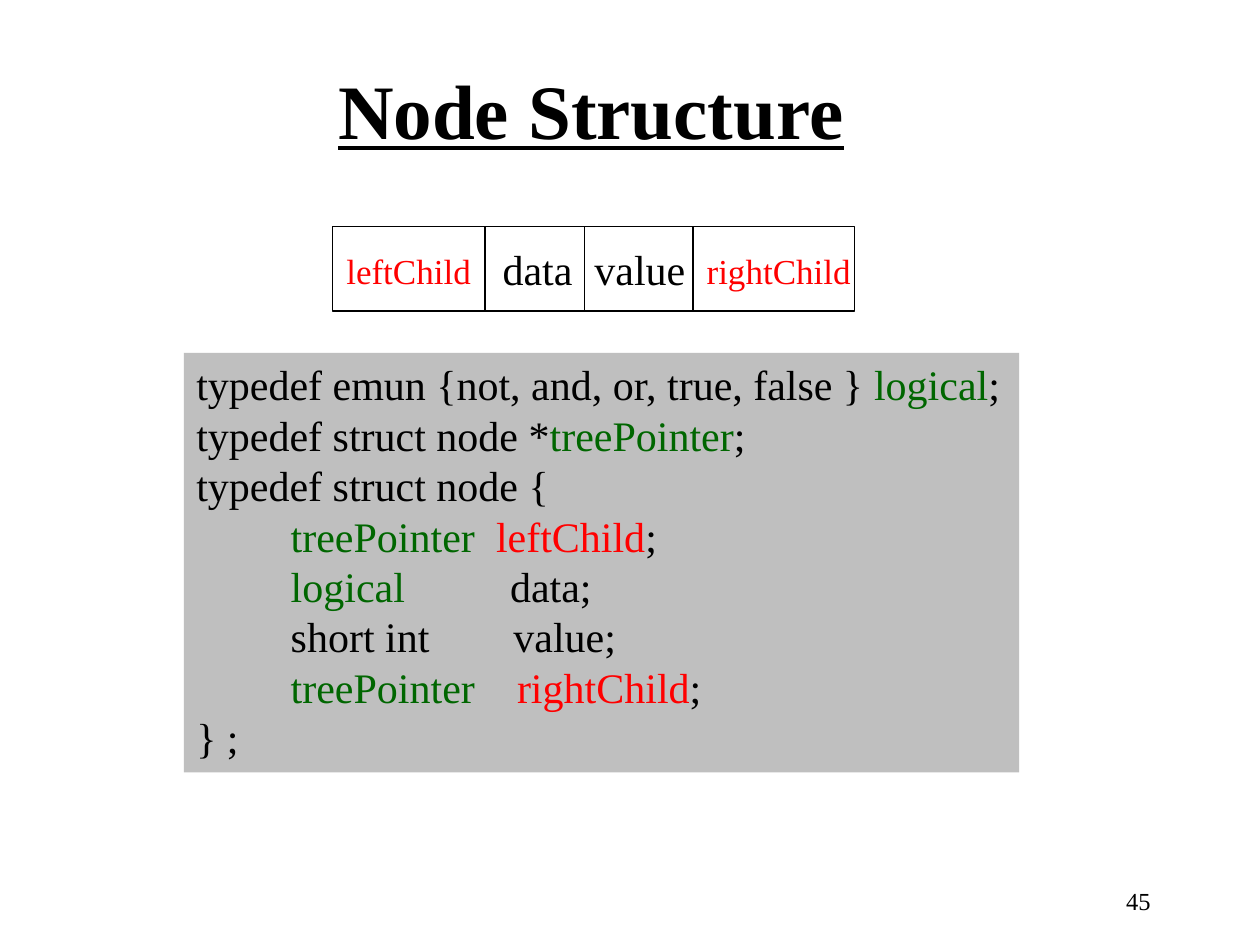
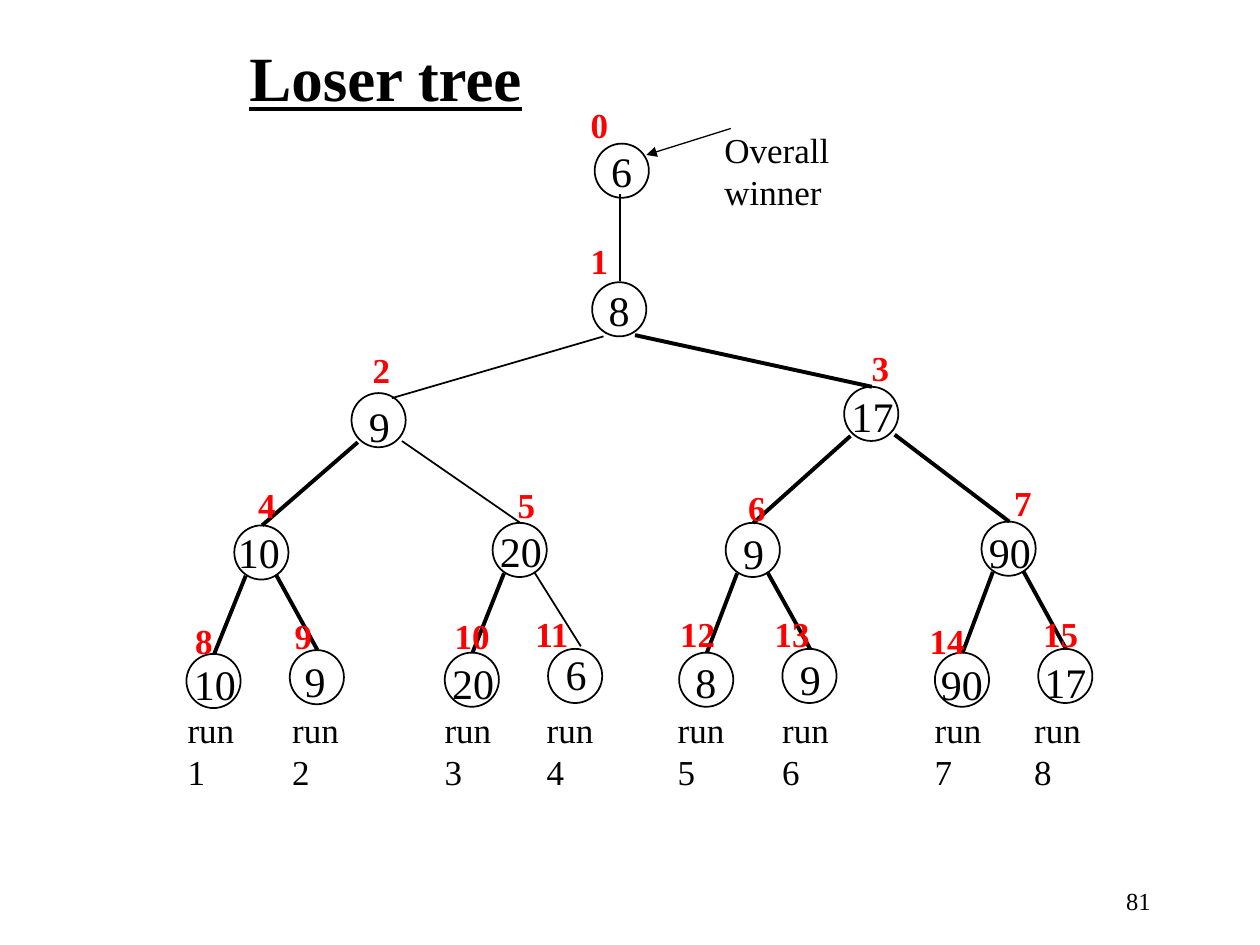
from dataclasses import dataclass

from lxml.etree import SubElement
from pptx import Presentation
from pptx.dml.color import RGBColor
from pptx.enum.shapes import MSO_CONNECTOR, MSO_SHAPE
from pptx.enum.text import MSO_ANCHOR, PP_ALIGN
from pptx.oxml.ns import qn
from pptx.util import Inches, Pt


@dataclass(frozen=True)
class Theme:
    font: str = "Times New Roman"
    ink: str = "000000"
    red: str = "FF0000"
    green: str = "006600"
    panel: str = "BFBFBF"
    body: int = 24
    small: int = 20
    footer: int = 14
    leading: float = 1.2
    hairline: float = 0.75
    thin: float = 1
    thick: float = 2.25


THEME = Theme()
INK, RED, GREEN = THEME.ink, THEME.red, THEME.green

# Node structure: (field, left of cell, left of label, width of label, size, colour)
RECORD = (2.64, 1.8, 4.14, 0.67)
FIELD_TOP, FIELD_HEIGHT = 1.88, 0.5
TEXT_INSET = 0.1
FIELDS = [
    ("leftChild", 2.64, 2.75, 1.05, THEME.small, RED),
    ("data", 3.85, 3.99, 0.6, THEME.body, INK),
    ("value", 4.64, 4.72, 0.8, THEME.body, INK),
    ("rightChild", 5.5, 5.61, 1.2, THEME.small, RED),
]
CODE_BOX = (1.46, 2.8, 6.63, 3.33)
CODE = [
    [("typedef emun {not, and, or, true, false } ", INK), ("logical", GREEN), (";", INK)],
    [("typedef struct node *", INK), ("treePointer", GREEN), (";", INK)],
    [("typedef struct node {", INK)],
    [("         treePointer  ", GREEN), ("leftChild", RED), (";", INK)],
    [("         logical          ", GREEN), ("data;", INK)],
    [("         short int        value;", INK)],
    [("         treePointer    ", GREEN), ("rightChild", RED), (";", INK)],
    [("} ;", INK)],
]

# Loser tree, in heap order: (value, circle, value box, index box);
# a value without a box of its own is centred in its circle
NODES = [
    ("6", (4.72, 1.14), None, (4.59, 0.77)),
    ("8", (4.7, 2.24), None, (4.59, 1.85)),
    ("9", (2.79, 3.12), (2.83, 3.13), (2.86, 2.72)),
    ("17", (6.7, 3.07), (6.66, 3.05), (6.82, 2.7)),
    ("10", (1.86, 4.17), (1.79, 4.13), (1.95, 3.79)),
    ("20", (3.91, 4.15), (3.87, 4.12), (4.01, 3.79)),
    ("9", (5.76, 4.15), (5.8, 4.14), (5.84, 3.81)),
    ("90", (7.79, 4.14), (7.75, 4.13), (7.95, 3.77)),
    ("10", (1.48, 5.19), (1.44, 5.18), (1.45, 4.87)),
    ("9", (2.3, 5.16), (2.32, 5.15), (2.24, 4.83)),
    ("20", (3.53, 5.18), (3.49, 5.17), (3.51, 4.83)),
    ("6", (4.35, 5.15), (4.39, 5.1), (4.15, 4.81)),
    ("8", (5.39, 5.18), (5.42, 5.16), (5.3, 4.81)),
    ("9", (6.21, 5.15), (6.25, 5.14), (6.05, 4.81)),
    ("90", (7.42, 5.18), (7.37, 5.18), (7.28, 4.87)),
    ("17", (8.24, 5.15), (8.19, 5.16), (8.18, 4.81)),
]
DIAMETER = 0.43
VALUE_WIDTHS = {1: 0.37, 2: 0.53}
INDEX_WIDTHS = {1: 0.34, 2: 0.48}
WINNER_LEAF = 11
# Where edges leave a parent, by depth: (left child, right child)
EDGE_STARTS = [
    ((0.09, 0.43), (0.34, 0.42)),
    ((0.05, 0.39), (0.4, 0.38)),
    ((0.09, 0.4), (0.33, 0.39)),
]
EDGE_END = (0.22, 0)
SPECIAL_ENDS = {2: (0.32, 0.04), 11: (0.26, -0.02)}
RUN_LEFTS = [1.39, 2.22, 3.43, 4.24, 5.28, 6.11, 7.32, 8.11]
RUN_TOP = 5.57


def inches(values):
    return [Inches(value) for value in values]


def span_of(text, size=THEME.body, color=INK, **style):
    return text, {"name": THEME.font, "size": Pt(size), **style}, color


def write(shape, lines, align=PP_ALIGN.LEFT, wrap=False, anchor=MSO_ANCHOR.TOP, pitch=None):
    """Fill a shape with lines, each a list of spans; pitch fixes the line height."""
    frame = shape.text_frame
    frame.word_wrap, frame.vertical_anchor = wrap, anchor
    for number, spans in enumerate(lines):
        para = frame.add_paragraph() if number else frame.paragraphs[0]
        para.alignment = align
        if pitch:
            para.line_spacing = Pt(pitch)
        for text, style, color in spans:
            span = para.add_run()
            span.text = text
            for name, value in style.items():
                setattr(span.font, name, value)
            span.font.color.rgb = RGBColor.from_string(color)


def add_text(page, box, lines, **layout):
    write(page.shapes.add_textbox(*inches(box)), lines, **layout)


def add_outline(page, kind, box, fill=None, width=None):
    shape = page.shapes.add_shape(kind, *inches(box))
    shape.shadow.inherit = False
    if fill:
        shape.fill.solid()
        shape.fill.fore_color.rgb = RGBColor.from_string(fill)
    else:
        shape.fill.background()
    if width:
        shape.line.color.rgb = RGBColor.from_string(INK)
        shape.line.width = Pt(width)
    else:
        shape.line.fill.background()
    return shape


def add_line(page, start, end, width, arrow=False):
    line = page.shapes.add_connector(MSO_CONNECTOR.STRAIGHT, *inches((*start, *end)))
    line.line.color.rgb = RGBColor.from_string(INK)
    line.line.width = Pt(width)
    if arrow:
        SubElement(line.line._get_or_add_ln(), qn("a:tailEnd"), type="triangle")
    SubElement(line._element.spPr, qn("a:effectLst"))


def add_page(deck, title, title_box, title_size, number):
    page = deck.slides.add_slide(deck.slide_layouts[6])
    heading = span_of(title, title_size, bold=True, underline=True)
    add_text(page, title_box, [[heading]], align=PP_ALIGN.CENTER, wrap=True)
    add_text(page, (7.15, 6.98, 2.08, 0.5), [[span_of(number, THEME.footer)]],
             align=PP_ALIGN.RIGHT, wrap=True)
    return page


def add_record(page):
    """Draw the four-field record, with all labels on one baseline."""
    _, top, _, height = RECORD
    add_outline(page, MSO_SHAPE.RECTANGLE, RECORD, width=THEME.hairline)
    for _, divider, *_ in FIELDS[1:]:
        add_line(page, (divider, top), (divider, top + height), THEME.hairline)
    for name, _, left, width, size, color in FIELDS:
        baseline_drop = (THEME.body - size) * 0.9 / 72
        box = (left - TEXT_INSET, FIELD_TOP + baseline_drop,
               width + 2 * TEXT_INSET, FIELD_HEIGHT)
        add_text(page, box, [[span_of(name, size, color)]], wrap=True)


def add_code(page):
    panel = add_outline(page, MSO_SHAPE.RECTANGLE, CODE_BOX, fill=THEME.panel)
    lines = [[span_of(text, color=color) for text, color in line] for line in CODE]
    write(panel, lines, pitch=THEME.body * THEME.leading)


def shifted(point, offset):
    return point[0] + offset[0], point[1] + offset[1]


def add_edges(page):
    winner_path = {WINNER_LEAF >> level for level in range(3)}
    for child in range(2, len(NODES)):
        parent, side = divmod(child, 2)
        depth = parent.bit_length() - 1
        start = shifted(NODES[parent][1], EDGE_STARTS[depth][side])
        end = shifted(NODES[child][1], SPECIAL_ENDS.get(child, EDGE_END))
        add_line(page, start, end, THEME.thin if child in winner_path else THEME.thick)
    add_line(page, (4.92, 2.23), (4.92, 1.54), THEME.hairline)


def add_nodes(page):
    for index, (value, circle_at, value_at, index_at) in enumerate(NODES):
        circle = add_outline(page, MSO_SHAPE.OVAL, (*circle_at, DIAMETER, DIAMETER),
                             width=THEME.thin)
        label = [[span_of(value)]]
        if value_at:
            add_text(page, (*value_at, VALUE_WIDTHS[len(value)], 0.5), label)
        else:
            write(circle, label, align=PP_ALIGN.CENTER, anchor=MSO_ANCHOR.MIDDLE)
        add_text(page, (*index_at, INDEX_WIDTHS[len(str(index))], 0.43),
                 [[span_of(str(index), THEME.small, RED, bold=True)]])


def add_captions(page):
    pitch = THEME.small * THEME.leading
    for number, left in enumerate(RUN_LEFTS, 1):
        add_text(page, (left, RUN_TOP, 0.75, 0.77),
                 [[span_of(f"run {number}", THEME.small)]], wrap=True, pitch=pitch)
    add_line(page, (5.8, 1.02), (5.13, 1.23), THEME.hairline, arrow=True)
    add_text(page, (5.65, 0.97, 1.15, 0.77),
             [[span_of(word, THEME.small)] for word in ("Overall", "winner")],
             wrap=True, pitch=pitch)


def main():
    deck = Presentation()
    deck.slide_width, deck.slide_height = Inches(10), Inches(7.5)

    structure = add_page(deck, "Node Structure", (0.68, 0.45, 8.02, 0.84), 44, "45")
    add_record(structure)
    add_code(structure)

    tree = add_page(deck, "Loser tree", (1.03, 0.26, 4.06, 0.7), 36, "81")
    add_edges(tree)
    add_nodes(tree)
    add_captions(tree)

    deck.save("out.pptx")


if __name__ == "__main__":
    main()
